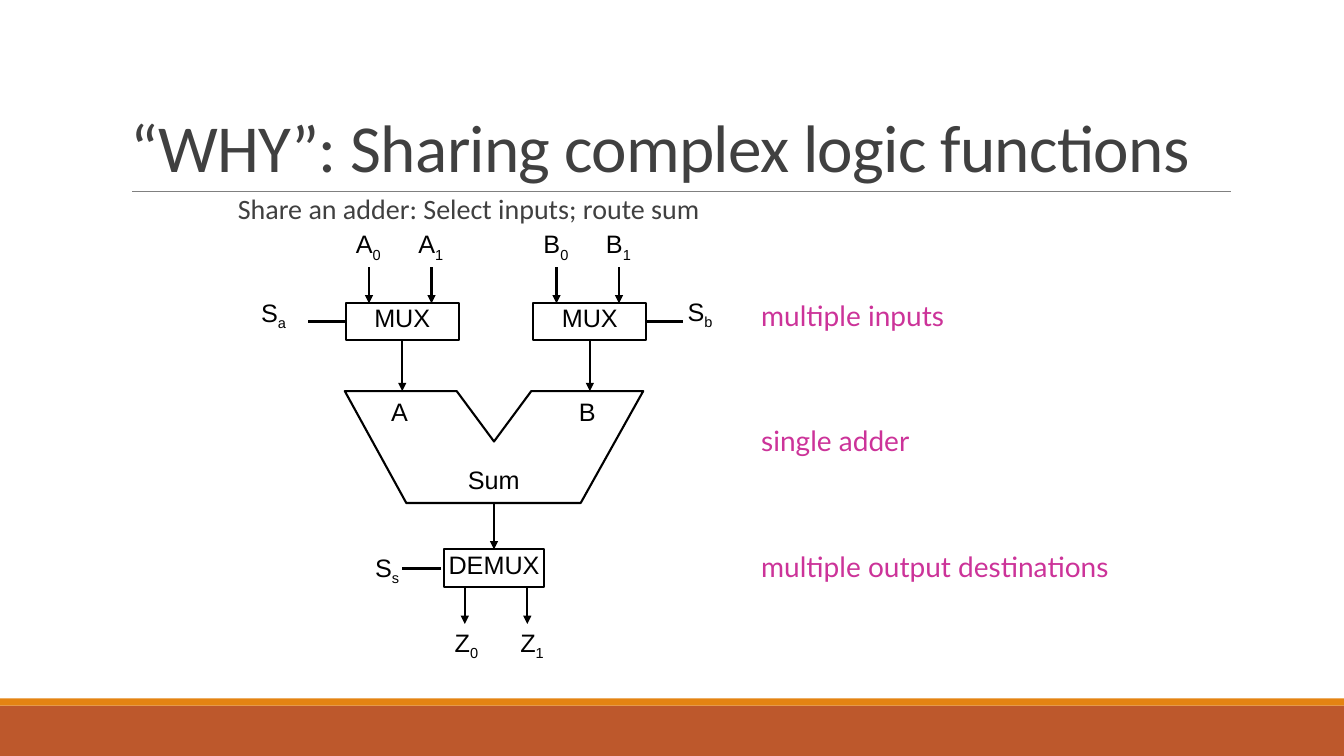
from lxml import etree
from pptx import Presentation, util as u
from pptx.dml.color import RGBColor
from pptx.enum import shapes, text
from pptx.oxml import ns

COLORS = {"ink": "000000", "heading": "404040", "accent": "CC3399", "paper": "FFFFFF",
          "rule": "808080", "band": "BD582C", "stripe": "E48312"}
CELL = u.Inches(0.1)  # one column or row of the grid
LEFT, CENTER, RIGHT = text.PP_ALIGN.LEFT, text.PP_ALIGN.CENTER, text.PP_ALIGN.RIGHT


def grid(*cells):
    return [u.Emu(round(c * CELL)) for c in cells]


class Diagram:
    """Draws on one slide; every length is in grid columns and rows."""

    def __init__(self, slide):
        self.shapes = slide.shapes

    def color(self, name):
        return RGBColor.from_string(COLORS[name])

    def outline(self, line, name="ink", width=1.5):
        line.color.rgb = self.color(name)
        line.width = u.Pt(width)

    def set_text(self, frame, wording, font="Arial", size=18, color="ink", align=LEFT,
                 spacing=u.Pt(15.8), insets=(0.2, 0.3), tab=None, tracking=None):
        """Fill a frame; the character after each underscore is a subscript."""
        frame.word_wrap = True
        frame.margin_left, frame.margin_top = grid(*insets)
        frame.margin_right, frame.margin_bottom = grid(*insets)
        paragraph = frame.paragraphs[0]
        paragraph.alignment, paragraph.line_spacing = align, spacing
        paragraph.font.name, paragraph.font.size = font, u.Pt(size)
        paragraph.font.color.rgb = self.color(color)
        first, *rest = wording.split("_")
        pieces = [(first, False)]
        for part in rest:
            pieces += [(part[0], True), (part[1:], False)]
        for piece, subscript in pieces:
            if piece:
                run = paragraph.add_run()
                run.text = piece
                if subscript:
                    run._r.get_or_add_rPr().set("baseline", "-25000")
                if tracking:
                    run._r.get_or_add_rPr().set("spc", str(tracking))
        if tab:
            stops = etree.Element(ns.qn("a:tabLst"))
            etree.SubElement(stops, ns.qn("a:tab"), pos=str(round(tab * CELL)), algn="l")
            paragraph._p.get_or_add_pPr().find(ns.qn("a:defRPr")).addprevious(stops)

    def label(self, x, y, width, height, wording, anchor=text.MSO_ANCHOR.TOP, **style):
        frame = self.shapes.add_textbox(*grid(x, y, width, height)).text_frame
        frame.vertical_anchor = anchor
        self.set_text(frame, wording, **style)

    def bar(self, x, y, width, height, fill):
        bar = self.shapes.add_shape(shapes.MSO_SHAPE.RECTANGLE, *grid(x, y, width, height))
        bar.shadow.inherit = False
        bar.fill.solid()
        bar.fill.fore_color.rgb = self.color(fill)
        bar.line.fill.background()
        return bar

    def block(self, x, y, width, height, wording):
        block = self.bar(x, y, width, height, "paper")
        self.outline(block.line)
        block.text_frame.vertical_anchor = text.MSO_ANCHOR.MIDDLE
        self.set_text(block.text_frame, wording, align=CENTER)
        return block

    def wire(self, x1, y1, x2, y2, arrow=False, begin=None, end=None,
             color="ink", width=1.5):
        """begin and end are (block, side) pairs to join."""
        wire = self.shapes.add_connector(shapes.MSO_CONNECTOR.STRAIGHT, *grid(x1, y1, x2, y2))
        self.outline(wire.line, color, width)
        if arrow:
            etree.SubElement(wire.line._get_or_add_ln(), ns.qn("a:tailEnd"), type="triangle")
        etree.SubElement(wire._element.spPr, ns.qn("a:effectLst"))
        if begin:
            wire.begin_connect(*begin)
        if end:
            wire.end_connect(*end)

    def polygon(self, points):
        start, *others = [grid(*point) for point in points]
        builder = self.shapes.build_freeform(*start, scale=1.0)
        builder.add_line_segments(others, close=True)
        outline = builder.convert_to_shape()
        outline.shadow.inherit = False
        outline.fill.background()
        self.outline(outline.line)


def main():
    deck = Presentation()
    deck.slide_width, deck.slide_height = u.Inches(13.33), u.Inches(7.5)
    diagram = Diagram(deck.slides.add_slide(deck.slide_layouts[6]))

    # Footer bands and title
    diagram.bar(0, 70, 133.3, 5, "band")
    diagram.bar(0, 69.3, 133.3, 0.7, "stripe")
    diagram.wire(13.1, 19, 122.1, 19, color="rule", width=0.5)
    diagram.label(12, 3.1, 110, 15.9, "“WHY”: Sharing complex logic functions",
                  anchor=text.MSO_ANCHOR.BOTTOM, font="Calibri", size=48, color="heading",
                  spacing=0.85, insets=(1, 0.5), tracking=-50)
    diagram.label(22.6, 18.9, 86.8, 6.7, "Share an adder: Select inputs; route sum",
                  font="Calibri", size=20, color="heading", spacing=0.9, insets=(1, 0.5))

    # Stage captions
    for row, caption in ((29.8, "multiple inputs"), (42.2, "single adder"),
                         (54.7, "multiple output destinations")):
        diagram.label(75.3, row, 37, 4.3, caption, font="Lato", size=20,
                      color="accent", spacing=u.Pt(20.8))

    # Input multiplexers: operand, left column, selector side and its far end
    mux_width, mux_top, mux_height = 11.2, 30.1, 3.6
    mux_bottom, mux_middle = mux_top + mux_height, mux_top + mux_height / 2
    adder_top, adder_bottom = 38.8, 49.9
    for operand, left, side, selector_end in (("A", 34.3, 1, 30.5), ("B", 52.9, 3, 67.7)):
        mux = diagram.block(left, mux_top, mux_width, mux_height, "MUX")
        center = left + mux_width / 2
        diagram.label(left + 0.8, 23.6, 12.3, 3.6, f"{operand}_0\t{operand}_1", tab=6.2)
        for offset in (2.3, 8.5):
            diagram.wire(left + offset, 26.5, left + offset, mux_top, arrow=True)
        edge = left if side == 1 else left + mux_width
        diagram.wire(edge, mux_middle, selector_end, mux_middle, begin=(mux, side))
        diagram.wire(center, mux_bottom, center, adder_top, arrow=True, begin=(mux, 2))
        diagram.label(left + 4.3, 39.8, 2.9, 3.6, operand)
    diagram.label(25.7, 30.4, 7.1, 3.6, "S_a")
    diagram.label(68, 30.3, 7.1, 3.6, "S_b")

    # Adder
    diagram.polygon([(34.2, adder_top), (45.3, adder_top), (49, 43.8), (52.7, adder_top),
                     (63.8, adder_top), (57.6, adder_bottom), (40.3, adder_bottom)])
    diagram.label(46.2, 46.6, 7.3, 3.6, "Sum")

    # Output demultiplexer
    demux_top, demux_height = 54.5, 3.7
    demux = diagram.block(44, demux_top, 10, demux_height, "DEMUX")
    diagram.wire(49, adder_bottom, 49, demux_top, arrow=True, end=(demux, 0))
    diagram.wire(43.7, 56.4, 39.9, 56.4)
    diagram.label(35.4, 54.5, 4.4, 3.6, "S_s", align=RIGHT, spacing=1.0)
    for column in (46.1, 52.3):
        diagram.wire(column, demux_top + demux_height, column, 61.9, arrow=True)
    diagram.label(44.9, 61.9, 10.9, 3.6, "Z_0\tZ_1", spacing=1.0, tab=6.5)

    deck.save("out.pptx")


if __name__ == "__main__":
    main()
